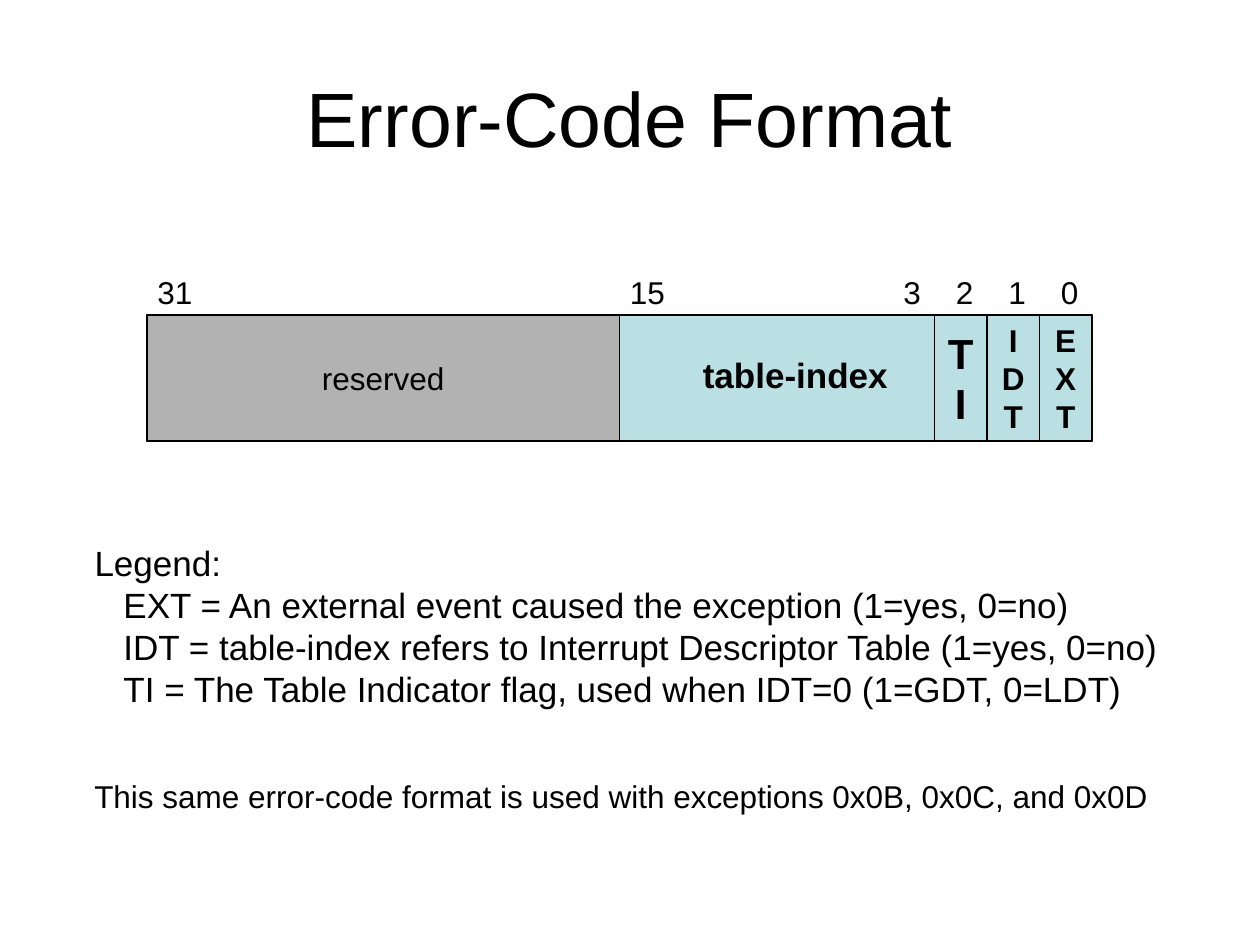
from dataclasses import dataclass
from pptx import Presentation
from pptx.dml.color import RGBColor
from pptx.enum.shapes import MSO_SHAPE as Shape
from pptx.enum.text import MSO_ANCHOR as Anchor, MSO_AUTO_SIZE as Fit, PP_ALIGN as Align
from pptx.oxml.ns import qn
from pptx.util import Inches, Pt
from lxml.etree import SubElement

COLUMN, ROW = 5 / 12, 0.5


def paint(code):
    """Turn a hex string into a colour."""
    return RGBColor.from_string(code)


def assign(target, values):
    """Set attributes from a dict."""
    for name, value in values.items():
        setattr(target, name, value)


@dataclass
class Sheet:
    """Style and drawing methods for one slide on a 24 by 15 grid."""
    page: object
    font: str = "Arial"
    ink: str = "000000"
    edge: float = 0.74

    def place(self, column, row, columns, rows):
        """Convert grid units to lengths."""
        return [Inches(n * unit) for n, unit in
                zip((column, row, columns, rows), (COLUMN, ROW) * 2)]

    def fill_text(self, box, lines, size, bold=False, align=Align.LEFT, anchor=Anchor.TOP,
                  wrap=False):
        """Fill a shape with one paragraph per line."""
        frame = box.text_frame
        assign(frame, dict(text="\n".join(lines), word_wrap=wrap, auto_size=Fit.NONE,
                           vertical_anchor=anchor))
        for para in frame.paragraphs:
            assign(para, dict(alignment=align, space_before=Pt(0)))
            for span in para.runs:
                assign(span.font, dict(name=self.font, size=Pt(size), bold=bold))
                span.font.color.rgb = paint(self.ink)
        return frame.paragraphs

    def holder(self, index, spot, lines, size, **style):
        """Move and fill a template placeholder."""
        box = self.page.placeholders[index]
        assign(box, dict(zip(("left", "top", "width", "height"), self.place(*spot))))
        return self.fill_text(box, lines, size, **style)

    def indent(self, para, inches):
        """Remove the bullet and set a left margin."""
        props = para._p.get_or_add_pPr()
        props.set("marL", str(Inches(inches)))
        props.set("indent", "0")
        SubElement(props, qn("a:buNone"))

    def tabs(self, para, count):
        """Set tab stops one column apart."""
        stops = SubElement(para._p.get_or_add_pPr(), qn("a:tabLst"))
        for stop in range(1, count + 1):
            SubElement(stops, qn("a:tab"), pos=str(Inches(stop * COLUMN)), algn="l")

    def label(self, spot, text, size, bold=False):
        """Add a text box."""
        box = self.page.shapes.add_textbox(*self.place(*spot))
        return self.fill_text(box, [text], size, bold)[0]

    def field(self, column, columns, fill, lines=(), size=18, bold=True):
        """Add a bit field of the error code."""
        box = self.page.shapes.add_shape(Shape.RECTANGLE, *self.place(column, 5, columns, 2))
        box.shadow.inherit = False
        box.fill.solid()
        box.fill.fore_color.rgb = paint(fill)
        box.line.color.rgb = paint(self.ink)
        box.line.width = Pt(self.edge)
        if lines:
            self.fill_text(box, lines, size, bold, Align.CENTER, Anchor.MIDDLE)


deck = Presentation()
assign(deck, dict(slide_width=Inches(10), slide_height=Inches(7.5)))
sheet = Sheet(deck.slides.add_slide(deck.slide_layouts[1]))

sheet.holder(0, (1.2, 0.6, 21.6, 2.5), ["Error-Code Format"], 44,
             align=Align.CENTER, anchor=Anchor.MIDDLE, wrap=True)
legend = sheet.holder(1, (1.56, 8.5, 20.83, 2.88), [
    "Legend:",
    "EXT = An external event caused the exception (1=yes, 0=no)",
    "IDT = table-index refers to Interrupt Descriptor Table (1=yes, 0=no)",
    "TI = The Table Indicator flag, used when IDT=0 (1=GDT, 0=LDT)",
], 20)
for number, entry in enumerate(legend):
    sheet.indent(entry, 0.23 if number else 0)

GRAY, TEAL, START = "B2B2B2", "BBE0E3", 2.8
sheet.field(START, 18, TEAL)
column = START
for columns, fill, lines, size, bold in [
    (9, GRAY, ["reserved"], 18, False),
    (6, TEAL, [], 20, True),
    (1, TEAL, "TI", 24, True),
    (1, TEAL, "IDT", 18, True),
    (1, TEAL, "EXT", 18, True),
]:
    sheet.field(column, columns, fill, lines, size, bold)
    column += columns
sheet.label((13.15, 5.52, 4, 0.88), "table-index", 20, True)

for column, text in [(2.76, "31"), (11.76, "15")]:
    sheet.label((column, 4.24, 1.15, 0.8), text, 18)
sheet.tabs(sheet.label((16.97, 4.24, 3.82, 0.8), "3\t2\t1\t0", 18), 3)

sheet.label((1.56, 12.24, 20.54, 0.8),
            "This same error-code format is used with exceptions 0x0B, 0x0C, and 0x0D", 18)

deck.save("out.pptx")
